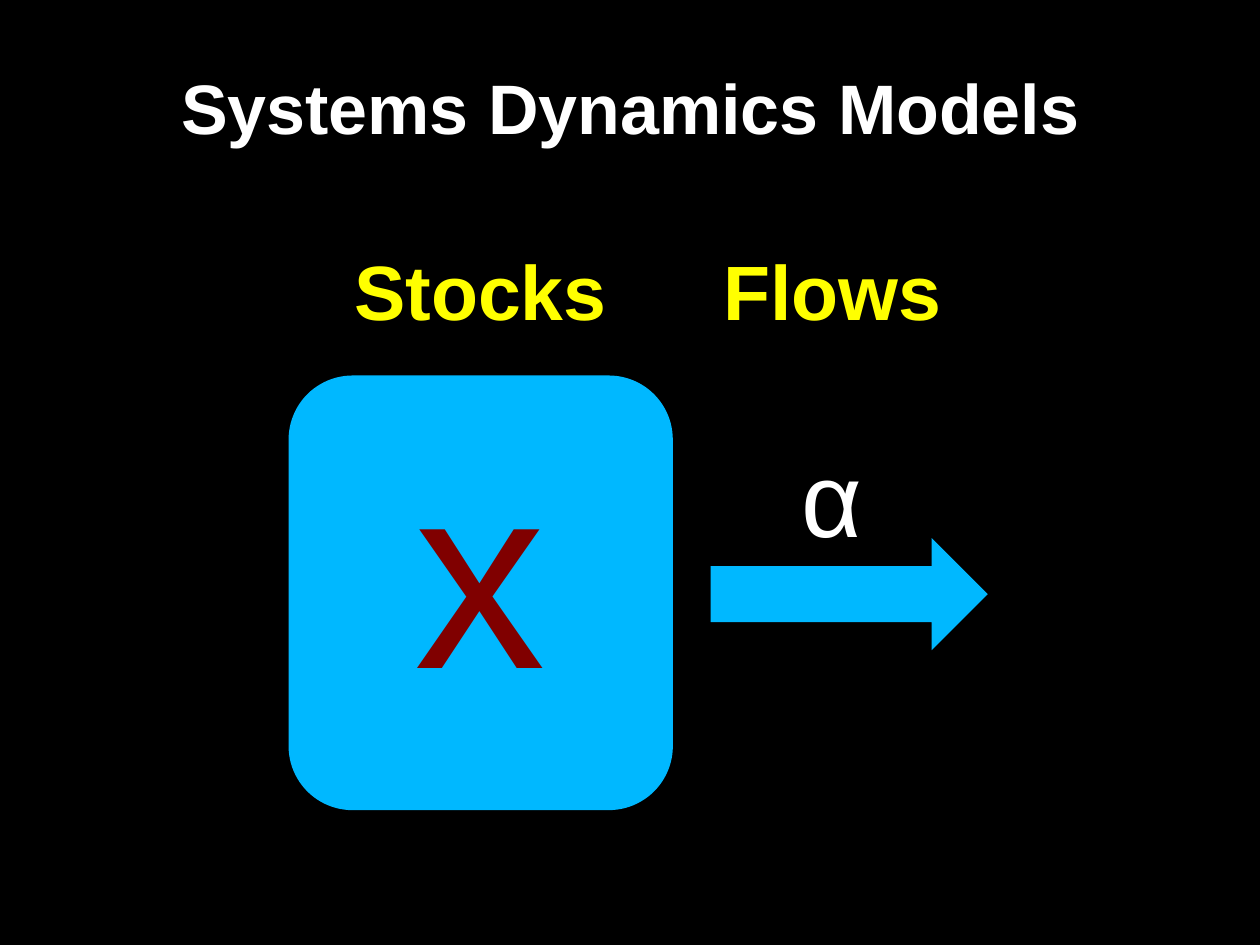
"""Build the Systems Dynamics Models slide showing a stock and a flow."""
from pptx import Presentation
from pptx import util as u
from pptx.dml import color
from pptx.enum import shapes, text


def paint(fill, value):
    fill.solid()
    fill.fore_color.rgb = color.RGBColor.from_string(value)


def write(box, words, size, value, bold, align, anchor):
    frame = box.text_frame
    frame.text = words
    frame.vertical_anchor = anchor
    para = frame.paragraphs[0]
    para.alignment = align
    font = para.runs[0].font
    font.name, font.size, font.bold = "Arial", u.Pt(size), bold
    paint(font.fill, value)


LEFT, CENTER = text.PP_ALIGN.LEFT, text.PP_ALIGN.CENTER
TOP, MIDDLE = text.MSO_ANCHOR.TOP, text.MSO_ANCHOR.MIDDLE

deck = Presentation()
deck.slide_width, deck.slide_height = u.Inches(10), u.Inches(7.5)
page = deck.slides.add_slide(deck.slide_layouts[5])
paint(page.background.fill, "000000")

title = page.shapes.title
title.left, title.top = u.Inches(0), u.Inches(0.02)
title.width, title.height = u.Inches(10), u.Inches(1.61)
write(title, "Systems Dynamics Models", 40, "FFFFFF", True, CENTER, MIDDLE)
title.text_frame.margin_top = u.Inches(0.09)
title.text_frame.margin_bottom = u.Inches(0.05)

for kind, *place in [
    (shapes.MSO_SHAPE.ROUNDED_RECTANGLE, 2.29, 2.98, 3.05, 3.45),
    (shapes.MSO_SHAPE.RIGHT_ARROW, 5.64, 4.27, 2.2, 0.89),
]:
    shape = page.shapes.add_shape(kind, *map(u.Inches, place))
    shape.shadow.inherit = False
    paint(shape.fill, "00B8FF")
    shape.line.fill.background()

for words, size, value, bold, align, anchor, *place in [
    ("Stocks", 44, "FFFF00", True, CENTER, MIDDLE, 2.7, 1.88, 2.23, 0.84),
    ("Flows", 44, "FFFF00", True, CENTER, MIDDLE, 5.63, 1.88, 1.95, 0.84),
    ("x", 150, "800000", False, LEFT, TOP, 3.19, 3.17, 1.25, 2.63),
    ("α", 60, "FFFFFF", False, LEFT, TOP, 6.26, 3.38, 0.69, 1.11),
]:
    label = page.shapes.add_textbox(*map(u.Inches, place))
    label.text_frame.word_wrap = False
    label.text_frame.auto_size = text.MSO_AUTO_SIZE.SHAPE_TO_FIT_TEXT
    write(label, words, size, value, bold, align, anchor)

deck.save("out.pptx")
